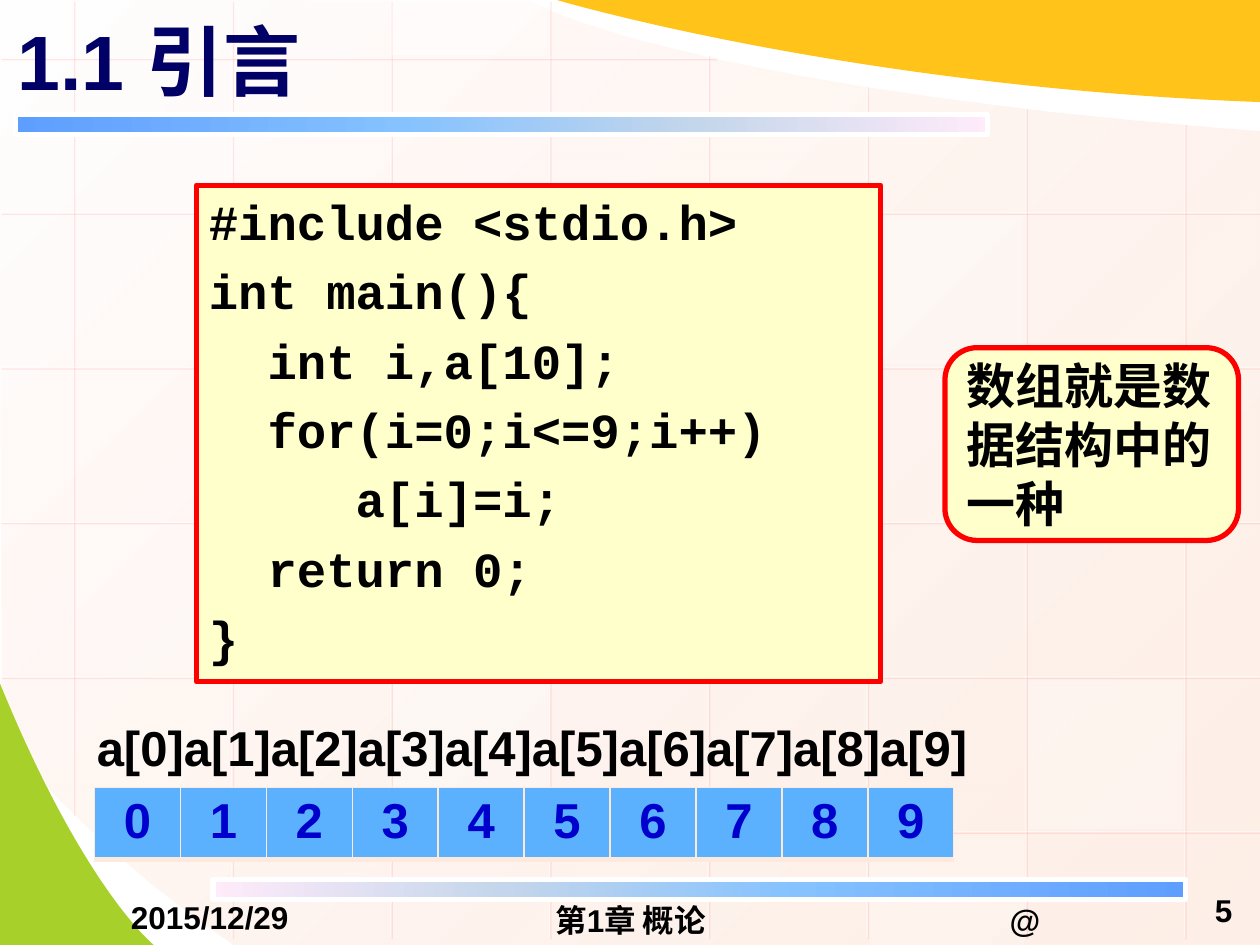
from lxml import etree
from pptx import Presentation
from pptx.dml.color import RGBColor
from pptx.enum.shapes import MSO_CONNECTOR, MSO_SHAPE
from pptx.enum.text import MSO_ANCHOR, PP_ALIGN
from pptx.oxml import parse_xml
from pptx.oxml.ns import qn
from pptx.util import Inches, Pt

LINE = MSO_CONNECTOR.STRAIGHT
RECT, ROUND = MSO_SHAPE.RECTANGLE, MSO_SHAPE.ROUNDED_RECTANGLE
TOP, MID = MSO_ANCHOR.TOP, MSO_ANCHOR.MIDDLE
LEFT, MIDST, RIGHT = PP_ALIGN.LEFT, PP_ALIGN.CENTER, PP_ALIGN.RIGHT
NS = "http://schemas.openxmlformats.org/drawingml/2006/main"
HAN = "Noto Sans CJK SC"
HEX = {
    "white": "FFFFFF", "black": "000000", "navy": "000066", "blue": "0000CC",
    "cell": "5CB1FE", "edge": "FEE9DE", "cream": "FFFFCC", "red": "FF0000",
    "green": "A8D02A", "gold": "FFC319", "pink": "FF7575", "pale": "FFFEFE",
    "bar1": "5E9EFF", "bar2": "85C2FF", "bar3": "C4D6EB", "bar4": "FFEBFA",
}
BAR = [(0, "bar1"), (40, "bar2"), (70, "bar3"), (100, "bar4")]
CODE = """#include <stdio.h>
int main(){
  int i,a[10];
  for(i=0;i<=9;i++)
     a[i]=i;
  return 0;
}""".split("\n")


def rgb(name):
    return RGBColor.from_string(HEX[name])


def inch(box):
    return [Inches(v) for v in box]


def fade(node, alpha):
    tint = next(node.iter(qn("a:srgbClr")))
    etree.SubElement(tint, qn("a:alpha")).set("val", str(alpha * 1000))


def paint(shape, fill, edge=None, alpha=None):
    shape.shadow.inherit = False
    shape.fill.solid()
    shape.fill.fore_color.rgb = rgb(fill)
    if alpha:
        fade(shape.fill._xPr.find(qn("a:solidFill")), alpha)
    if edge:
        shape.line.color.rgb = rgb(edge)
        shape.line.width = Pt(3)
    else:
        shape.line.fill.background()


def blend(shape, stops, angle=0, alpha=100):
    marks = "".join(
        f'<a:gs pos="{pos * 1000}"><a:srgbClr val="{HEX[name]}">'
        f'<a:alpha val="{(alpha if pos == 100 else 100) * 1000}"/>'
        "</a:srgbClr></a:gs>" for pos, name in stops)
    grad = parse_xml(f'<a:gradFill xmlns:a="{NS}"><a:gsLst>{marks}</a:gsLst>'
                     f'<a:lin ang="{angle * 60000}" scaled="0"/></a:gradFill>')
    props = shape._element.spPr
    props.replace(props.find(qn("a:solidFill")), grad)


def write(frame, lines, size=28, tone="black", face="Arial", align=LEFT,
          gap=0, pitch=None, hang=0):
    for num, line in enumerate(lines):
        para = frame.paragraphs[0] if num == 0 else frame.add_paragraph()
        run = para.add_run()
        run.text = line
        look = {"name": face, "size": Pt(size), "bold": True}
        for key, val in look.items():
            setattr(run.font, key, val)
        run.font.color.rgb = rgb(tone)
        etree.SubElement(run._r.rPr, qn("a:ea")).set("typeface", HAN)
        rules = {"alignment": align, "line_spacing": pitch,
                 "space_before": Pt(gap if num else 0)}
        for key, val in rules.items():
            setattr(para, key, val)
        if hang:
            props = para._p.get_or_add_pPr()
            props.set("marL", str(Inches(hang)))
            props.set("indent", str(-Inches(hang)))


def frame_of(shape, **style):
    frame = shape.text_frame
    for key, val in {"word_wrap": True, "vertical_anchor": TOP, **style}.items():
        setattr(frame, key, val)
    return frame


def patch(shapes, box, points, bends, fill):
    x, y = box[:2]
    spots = [tuple(inch((x + u, y + v))) for u, v in points]
    pen = shapes.build_freeform(*spots[0], scale=1.0)
    pen.add_line_segments(spots[1:], close=True)
    shape = pen.convert_to_shape()
    paint(shape, fill)
    legs = list(shape._element.iter(qn("a:lnTo")))
    for first in bends:
        arc = etree.Element(qn("a:cubicBezTo"))
        legs[first].addprevious(arc)
        for leg in legs[first:first + 3]:
            arc.append(leg[0])
            leg.getparent().remove(leg)
    return shape


def rule(shapes, x1, y1, x2, y2):
    line = shapes.add_connector(LINE, *inch((x1, y1, x2, y2)))
    line.line.color.rgb = rgb("white")
    line.line.width = Pt(0.75)
    props = line._element.spPr
    fade(props.find(qn("a:ln")), 50)
    props.append(parse_xml(
        f'<a:effectLst xmlns:a="{NS}"><a:outerShdw blurRad="0" '
        f'dist="{Pt(1.4)}" dir="2700000" algn="ctr" rotWithShape="0">'
        f'<a:srgbClr val="{HEX["pink"]}"><a:alpha val="33000"/></a:srgbClr>'
        "</a:outerShdw></a:effectLst>"))


def backdrop(shapes, box):
    x, y, wide, high = box
    page = patch(shapes, box, [
        (10.01, 1.04), (10.01, 4.27), (10.01, 7.49), (10.01, 7.49),
        (1.87, 7.5), (0.55, 6.6), (0.01, 5.8), (0.02, 5.8),
        (-0.01, -0.01), (4.21, 0.01),
        (4.21, 0.01), (5.37, 0.69), (10.01, 1.04)], (0, 4, 9), "pale")
    blend(page, [(0, "pale"), (100, "edge")], 45, 70)
    patch(shapes, box, [
        (-0.01, 5.4), (-0.01, 6.45), (-0.01, 7.5), (-0.01, 7.5),
        (1.22, 7.5), (1.22, 7.5), (0.66, 7.05), (-0.01, 5.4)], (0, 4), "green")
    for n, top in enumerate((0, 0, 0, 0, 0.43, 0.68, 0.85, 0.98)):
        across = x + 0.58 + 1.26 * n
        rule(shapes, across, y + top, across, y + (7.44 if n else 6.46))
    for n in range(6):
        down = y + 0.46 + 1.228 * n
        rule(shapes, x + (5.68 if n == 0 else wide), down,
             x + (0.76 if n == 5 else 0), down)
    for left, top, tall, alpha in (
            (8.16, 5.4, 1.18, 30), (0.6, 4.16, 1.18, 20), (6.9, 6.63, 0.87, 20),
            (3.11, 0, 0.44, 40), (3.12, 5.4, 1.18, 30), (6.89, 1.71, 1.18, 30)):
        tile = shapes.add_shape(RECT, *inch((x + left, y + top, 1.23, tall)))
        paint(tile, "white", alpha=alpha)
    patch(shapes, box, [
        (10, 0.81), (10, 0.4), (10, 0), (10, 0),
        (4.42, 0), (4.42, 0), (6.74, 0.69), (10, 0.81)], (0, 4), "gold")


def band(shapes, box, stops):
    shape = shapes.add_shape(RECT, *inch(box))
    paint(shape, "white", "white")
    blend(shape, stops)


def settle(shapes, master):
    drawn = [shape for shape in shapes if not shape.is_placeholder]
    for num, shape in enumerate(drawn, 100):
        shape._element.nvXxPr.cNvPr.set("id", str(num)) if hasattr(
            shape._element, "nvXxPr") else None
        next(shape._element.iter(qn("p:cNvPr"))).set("id", str(num))
        master.shapes.element.append(shape._element)


def head(shapes, box):
    title = shapes.title
    for key, val in zip(("left", "top", "width", "height"), inch(box)):
        setattr(title, key, val)
    write(frame_of(title, vertical_anchor=MID), ["1.1 引言"], 44, "navy")


def label(shapes, box, text, size=18, align=MIDST, inset=0, right=0.1):
    frame = frame_of(shapes.add_textbox(*inch(box)), vertical_anchor=MID,
                     margin_top=Inches(inset), margin_bottom=Inches(inset),
                     margin_right=Inches(right))
    write(frame, [text], size, align=align)


def footer(shapes, box):
    x, y, wide, high = box
    label(shapes, (x + 0.5, y + 0.15, 2.33, 0.3), "2015/12/29")
    label(shapes, (x + 3.42, y + 0.17, 3.17, 0.3), "第1章 概论")
    label(shapes, (x + 9.38, y, 0.66, high), "5", align=RIGHT, right=0.26)


def code(shapes, box):
    shape = shapes.add_shape(RECT, *inch(box))
    paint(shape, "cream", "red")
    write(frame_of(shape), CODE, face="Courier New", gap=6, hang=0.38)


def note(shapes, box):
    shape = shapes.add_shape(ROUND, *inch(box))
    paint(shape, "cream", "red")
    write(frame_of(shape, vertical_anchor=MID), ["数组就是数据结构中的一种"],
          face=HAN, pitch=Pt(33.6))


def array(shapes, box):
    x, y, wide, high = box
    table = shapes.add_table(1, 10, *inch((x + 0.08, y + 0.61, 6.82, 0.57))).table
    table.first_row = table.horz_banding = False
    for n, cell in enumerate(table.rows[0].cells):
        table.columns[n].width = Inches(0.682)
        cell.fill.solid()
        cell.fill.fore_color.rgb = rgb("cell")
        write(cell.text_frame, [str(n)], tone="blue", align=MIDST)
        for spot, (side, width) in enumerate(zip("LRTB", (1, 1, 1, 3))):
            cell._tc.tcPr.insert(spot, parse_xml(
                f'<a:ln{side} xmlns:a="{NS}" w="{Pt(width)}"><a:solidFill>'
                f'<a:srgbClr val="{HEX["edge"]}"/></a:solidFill></a:ln{side}>'))
    names = "".join(f"a[{n}]" for n in range(10))
    label(shapes, (x, y, wide, 0.57), names, 28, LEFT, 0.05)


def main():
    deck = Presentation()
    deck.slide_width, deck.slide_height = inch((10, 7.5))
    shapes = deck.slides.add_slide(deck.slide_layouts[5]).shapes
    backdrop(shapes, (0, 0, 10, 7.5))
    label(shapes, (6.97, 7.15, 2.33, 0.3), "@")
    band(shapes, (0.12, 0.91, 7.72, 0.16), BAR)
    band(shapes, (1.69, 6.98, 7.72, 0.16),
         [(100 - pos, name) for pos, name in reversed(BAR)])
    settle(shapes, deck.slide_master)
    head(shapes, (0.04, -0.03, 9, 1.01))
    footer(shapes, (0, 6.98, 10, 0.49))
    code(shapes, (1.56, 1.47, 5.43, 3.94))
    array(shapes, (0.67, 5.64, 7.34, 1.18))
    note(shapes, (7.5, 2.76, 2.33, 1.53))
    deck.save("out.pptx")


if __name__ == "__main__":
    main()
